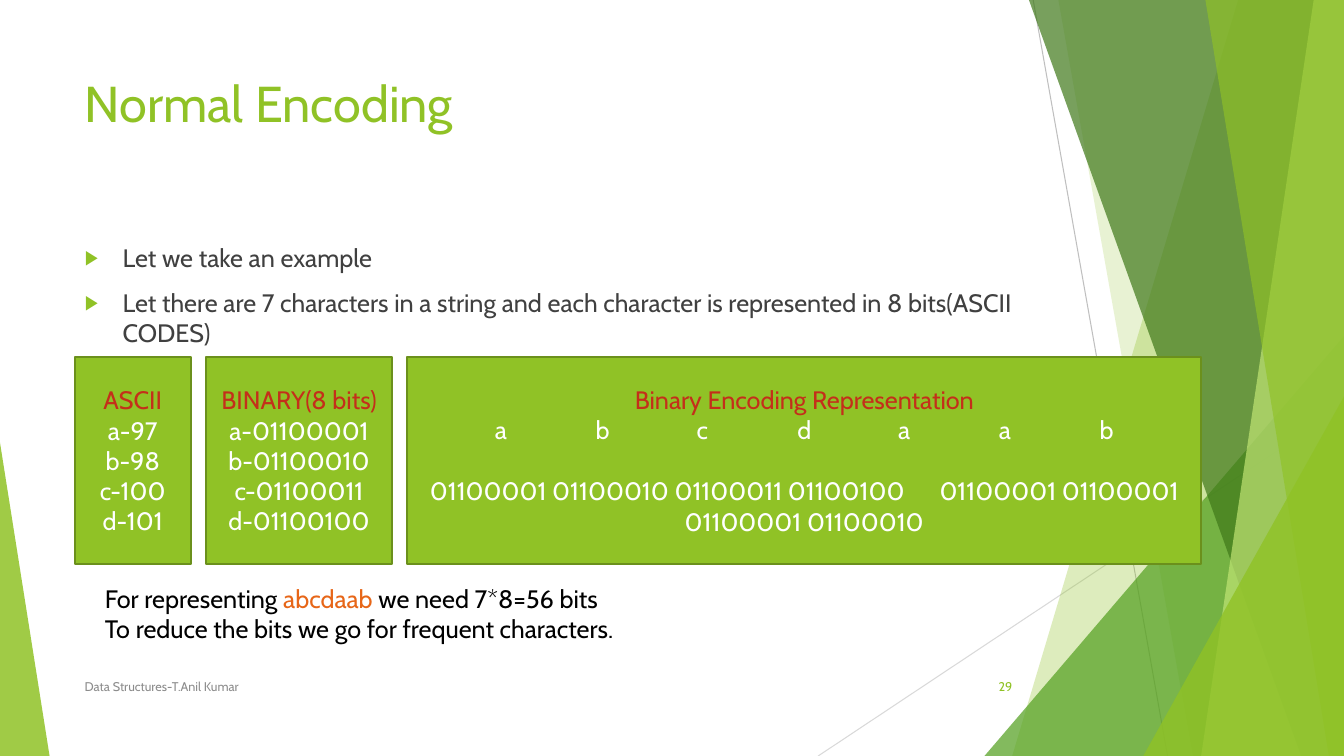
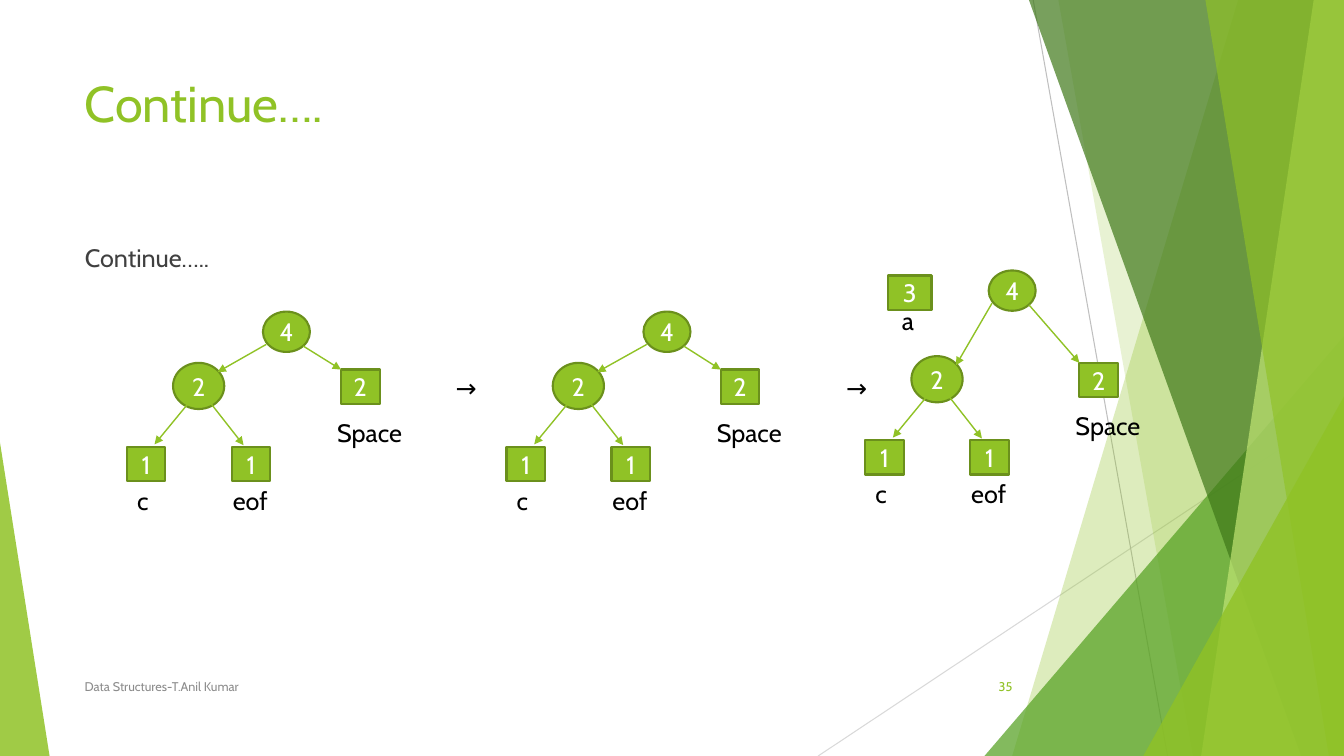
"""Build two slides on binary encoding and tree merging."""
from lxml.etree import SubElement
from pptx import Presentation
from pptx.dml.color import RGBColor
from pptx.enum.shapes import MSO_CONNECTOR, MSO_SHAPE
from pptx.enum.text import MSO_ANCHOR, MSO_AUTO_SIZE, PP_ALIGN
from pptx.oxml.ns import qn
from pptx.util import Emu, Pt

COLS, ROWS = 160, 90
CELL = 76200
FONT = "Cabin"
GREEN, EDGE, RED, ORANGE = "90C226", "6B901C", "C42F1A", "E76618"
WHITE, BLACK, DARK, GREY = "FFFFFF", "000000", "404040", "8C8C8C"
LEFT, MID, RIGHT = PP_ALIGN.LEFT, PP_ALIGN.CENTER, PP_ALIGN.RIGHT
RECT, OVAL = MSO_SHAPE.RECTANGLE, MSO_SHAPE.OVAL


def paint(fill, color, alpha=100):
    """Give a fill, line or font one solid colour."""
    fill.solid()
    fill.fore_color.rgb = RGBColor.from_string(color)
    if alpha < 100:
        tone = fill.fore_color._xFill.find(qn("a:srgbClr"))
        SubElement(tone, qn("a:alpha"), val=str(alpha * 1000))


def write(frame, paras, align=LEFT, size=18):
    """Write paragraphs, each a list of (text, colour) runs."""
    frame.word_wrap = True
    for i, runs in enumerate(paras):
        para = frame.add_paragraph() if i else frame.paragraphs[0]
        para.alignment = align
        for text, color in runs:
            run = para.add_run()
            run.text = text
            run.font.name = FONT
            run.font.size = Pt(size)
            paint(run.font.fill, color)


deck = Presentation()
deck.slide_width, deck.slide_height = Emu(COLS * CELL), Emu(ROWS * CELL)
layout = deck.slide_layouts[1]
spots = [(8.9, 8, 112.8, 17.3), (8.9, 28.3, 112.8, 50.9)]
for holder, spot in zip(layout.placeholders, spots):
    holder.left, holder.top, holder.width, holder.height = [
        Emu(round(v * CELL)) for v in spot]
    holder.text_frame.auto_size = MSO_AUTO_SIZE.NONE
    holder.text_frame.vertical_anchor = MSO_ANCHOR.TOP

pages = [
    ("Normal Encoding", "29", True, [
        "Let we take an example",
        "Let there are 7 characters in a string and each character is "
        "represented in 8 bits(ASCII CODES)"]),
    ("Continue….", "35", False, ["Continue….."]),
]
labels = []
for title, number, listed, items in pages:
    slide = deck.slides.add_slide(layout)
    write(slide.shapes.title.text_frame, [[(title, GREEN)]], size=36)
    body = slide.placeholders[1].text_frame
    write(body, [[(item, DARK)] for item in items])
    for para in body.paragraphs:
        para.space_before = Pt(10)
        props = para._p.get_or_add_pPr()
        props.set("marL", "342900" if listed else "0")
        props.set("indent", "-342900" if listed else "0")
        if listed:
            tone = SubElement(props, qn("a:buClr"))
            SubElement(tone, qn("a:srgbClr"), val=GREEN)
            SubElement(props, qn("a:buSzPct"), val="80000")
            SubElement(props, qn("a:buChar"), char="▶")
        else:
            SubElement(props, qn("a:buNone"))
    labels += [
        (slide, (8.9, 79.3, 82.7, 4.8), LEFT, 9,
         [[("Data Structures-T.Anil Kumar", GREY)]]),
        (slide, (112.7, 79.3, 9, 4.8), RIGHT, 9, [[(number, GREEN)]]),
    ]
code, tree = deck.slides

veils = [
    (147.4, 120.5, 0, GREEN, 30),
    (126, 142, 0, GREEN, 20),
    (160, 117.2, 40, "54A021", 72),
    (122.5, 154.9, 0, "3F7819", 70),
    (156.4, 143, 0, "C0E474", 70),
    (143.5, 158.2, 0, GREEN, 65),
    (160, 136.1, 47.2, GREEN, 80),
    (0, 5.9, 52.7, GREEN, 85),
]
for i, (high, low, top, color, alpha) in enumerate(veils):
    if top:
        veil = code.shapes.add_shape(
            MSO_SHAPE.ISOSCELES_TRIANGLE,
            *[Emu(round(v * CELL)) for v in
              (min(high, low), top, abs(high - low), ROWS - top)])
        veil.adjustments[0] = 1 if high > low else 0
    else:
        pen = code.shapes.build_freeform(round(high * CELL), 0)
        pen.add_line_segments(
            [(round(x * CELL), y * CELL)
             for x, y in ((COLS, 0), (COLS, ROWS), (low, ROWS))])
        veil = pen.convert_to_shape()
    veil.shadow.inherit = False
    veil.line.fill.background()
    paint(veil.fill, color, alpha)
    layout.shapes.element.insert(2 + i, veil.element)

lines = [
    (code, (123, 0, 139, 90), "BFBFBF", 0.75),
    (code, (160, 48.4, 97.4, 90), "D9D9D9", 0.75),
]
cards = [
    (8.9, 13.8, "ASCII", ["a-97", "b-98", "c-100", "d-101"]),
    (24.5, 22.2, "BINARY(8 bits)",
     ["a-01100001", "b-01100010", "c-01100011", "d-01100100"]),
    (48.5, 94.5, "Binary Encoding Representation",
     ["a\t\tb\t\tc\t\td\t\ta\t\ta\t\tb",
      "01100001 01100010 01100011 01100100\t "
      "01100001 01100001 01100001 01100010"]),
]
boxes = [(code, RECT, (x, 42.5, wide, 24.6),
          [[(head, RED)]] + [[(row, WHITE)] for row in rows])
         for x, wide, head, rows in cards]
labels.append((code, (11.3, 68.7, 70.8, 8.6), LEFT, 18, [
    [("For representing ", BLACK), ("abcdaab", ORANGE),
     (" we need 7*8=56 bits", BLACK)],
    [("To reduce the bits we go for frequent characters.", BLACK)]]))

nodes = [(RECT, 105.7, 32.8, 5.2, 4.1, "3")]
words = [("a", 108.1, 35.8), ("→", 55.5, 43.7), ("→", 102, 43.7)]
for x, y, top, peak in [(0, 0, 31.3, 37.1), (45.2, 0, 76.6, 37.1),
                        (87.9, -0.8, 117.7, 32.2)]:
    nodes += [
        (OVAL, top, peak, 5.6, 4.8, "4"),
        (OVAL, x + 20.6, y + 43.2, 6.1, 5.5, "2"),
        (RECT, x + 40.6, y + 44, 4.6, 4.1, "2"),
        (RECT, x + 15.1, y + 53.2, 4.6, 4.1, "1"),
        (RECT, x + 27.6, y + 53.2, 4.6, 4.1, "1"),
    ]
    words += [("c", x + 17, y + 57.2), ("eof", x + 29.8, y + 57.2),
              ("Space", x + 44, y + 49.1)]
    lines += [(tree, ends, GREEN, 1) for ends in (
        (top + 0.4, peak + 3.9, x + 25.9, y + 44.3),
        (top + 4.8, peak + 4.1, x + 40.6, y + 44),
        (x + 22.6, y + 47.8, x + 18.4, y + 52.9),
        (x + 25, y + 47.9, x + 29, y + 53))]
boxes += [(tree, kind, spot, [[(text, WHITE)]])
          for kind, *spot, text in nodes]
labels += [(tree, (x - 6, y, 12, 4.8), MID, 18, [[(text, BLACK)]])
           for text, x, y in words]

for slide, kind, spot, paras in boxes:
    box = slide.shapes.add_shape(kind, *[Emu(round(v * CELL)) for v in spot])
    box.shadow.inherit = False
    paint(box.fill, GREEN)
    paint(box.line.fill, EDGE)
    box.line.width = Pt(1.5)
    box.text_frame.vertical_anchor = MSO_ANCHOR.MIDDLE
    write(box.text_frame, paras, MID)
    if len(paras) == 3:
        box.text_frame.paragraphs[-1].space_before = Pt(22)

for slide, spot, align, size, paras in labels:
    label = slide.shapes.add_textbox(*[Emu(round(v * CELL)) for v in spot])
    label.text_frame.vertical_anchor = MSO_ANCHOR.MIDDLE
    write(label.text_frame, paras, align, size)

for slide, ends, color, width in lines:
    line = slide.shapes.add_connector(
        MSO_CONNECTOR.STRAIGHT, *[Emu(round(v * CELL)) for v in ends])
    paint(line.line.fill, color)
    line.line.width = Pt(width)
    props = line.element.spPr
    SubElement(props, qn("a:effectLst"))
    if color == GREEN:
        SubElement(props.find(qn("a:ln")), qn("a:tailEnd"), type="triangle")
    else:
        layout.shapes.element.insert(2, line.element)

deck.save("out.pptx")
